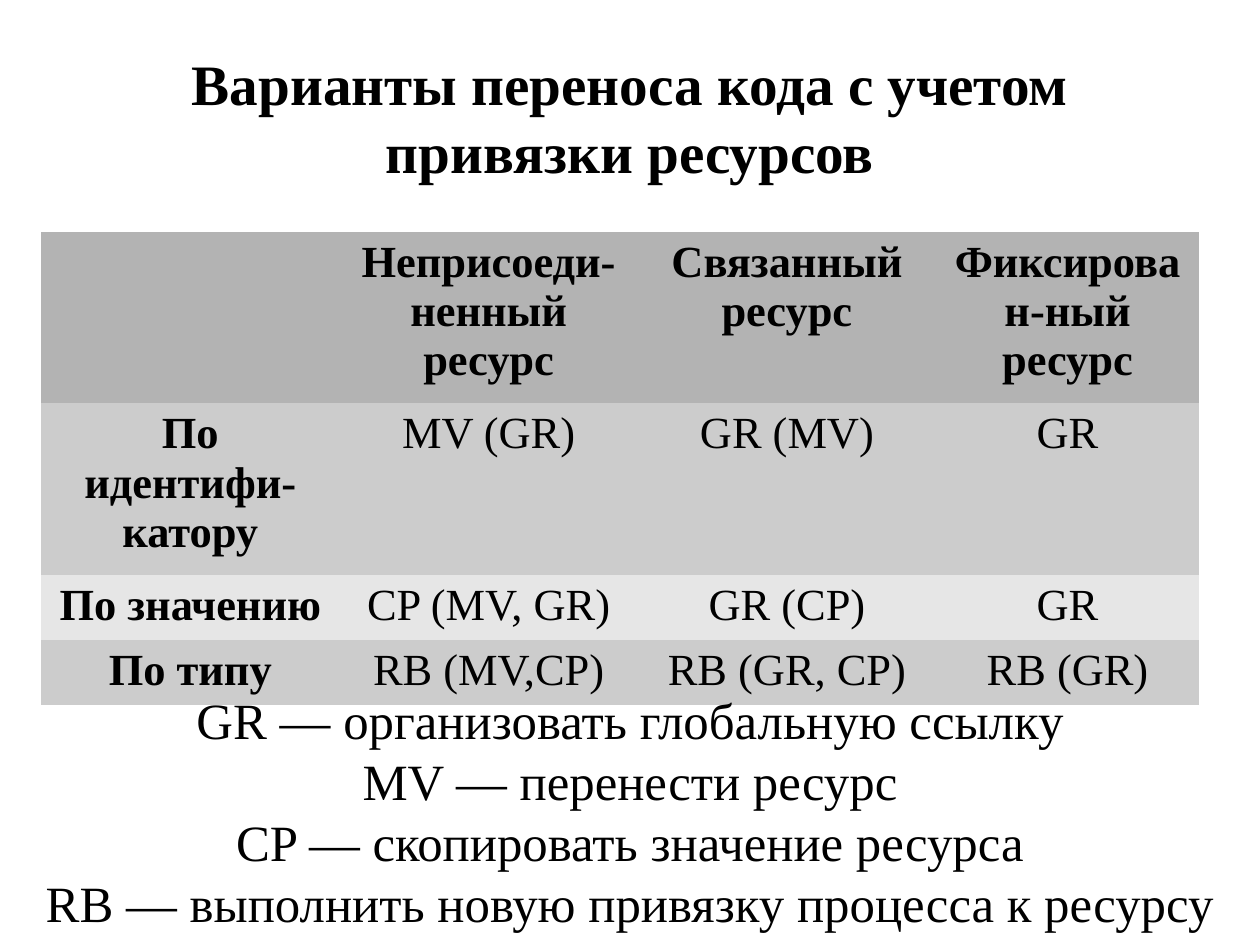
from pptx import Presentation
from pptx.dml.color import RGBColor
from pptx.enum.text import MSO_ANCHOR, MSO_AUTO_SIZE, PP_ALIGN
from pptx.util import Cm, Inches, Pt

TITLE = "Варианты переноса кода с учетом привязки ресурсов"
ROWS = [
    ("", "Неприсоеди-ненный ресурс", "Связанный ресурс", "Фиксирован-ный ресурс"),
    ("По идентифи-катору", "MV (GR)", "GR (MV)", "GR"),
    ("По значению", "CP (MV, GR)", "GR (CP)", "GR"),
    ("По типу", "RB (MV,CP)", "RB (GR, CP)", "RB (GR)"),
]
LEGEND = [
    "GR — организовать глобальную ссылку",
    "MV — перенести ресурс",
    "CP — скопировать значение ресурса",
    "RB — выполнить новую привязку процесса к ресурсу",
]
ROW_FILLS = ["B3B3B3", "CCCCCC", "E6E6E6", "CCCCCC"]
COLUMN_WIDTHS = [2.61, 2.61, 2.61, 2.3]
ROW_HEIGHTS = [1.5, 1.5, 0.57, 0.57]
TITLE_AREA = (0.55, 0.33, 9.92, 1.38)
TABLE_AREA = (0.36, 2.03, sum(COLUMN_WIDTHS), sum(ROW_HEIGHTS))
LEGEND_AREA = (0.2, 6.1, 10.63, 1.98)
PLAIN_TABLE_STYLE = "{2D5ABB26-0587-4C30-8999-92F81FD0307C}"


def color(value):
    return RGBColor.from_string(value)


def inches(area):
    return [Inches(length) for length in area]


def write(frame, lines, size, bold=False):
    frame.text = "\n".join(lines)
    for para in frame.paragraphs:
        para.alignment = PP_ALIGN.CENTER
        para.font.name = "Times New Roman"
        para.font.size = Pt(size)
        para.font.bold = bold
        para.font.color.rgb = color("000000")


def fit_frame(frame):
    frame.word_wrap = True
    frame.auto_size = MSO_AUTO_SIZE.NONE
    frame.vertical_anchor = MSO_ANCHOR.MIDDLE
    frame.margin_left = frame.margin_right = 0
    frame.margin_top = frame.margin_bottom = 0


deck = Presentation()
deck.slide_width, deck.slide_height = Cm(28), Cm(21)
page = deck.slides.add_slide(deck.slide_layouts[5])

# Title
title = page.shapes.title
title.left, title.top, title.width, title.height = inches(TITLE_AREA)
fit_frame(title.text_frame)
write(title.text_frame, [TITLE], 36, bold=True)

# Table of binding variants, without the default style's white borders
table_frame = page.shapes.add_table(
    len(ROWS), len(COLUMN_WIDTHS), *inches(TABLE_AREA))
for style in table_frame.element.iter("{*}tableStyleId"):
    style.text = PLAIN_TABLE_STYLE
table = table_frame.table
for column, width in zip(table.columns, COLUMN_WIDTHS):
    column.width = Inches(width)

# Cells: the header row and the first column are bold
for r, texts in enumerate(ROWS):
    table.rows[r].height = Inches(ROW_HEIGHTS[r])
    for c, text in enumerate(texts):
        cell = table.cell(r, c)
        cell.fill.solid()
        cell.fill.fore_color.rgb = color(ROW_FILLS[r])
        write(cell.text_frame, [text], 28, bold=r == 0 or c == 0)

# Legend of the abbreviations
legend = page.shapes.add_textbox(*inches(LEGEND_AREA))
fit_frame(legend.text_frame)
write(legend.text_frame, LEGEND, 32)

deck.save("out.pptx")
